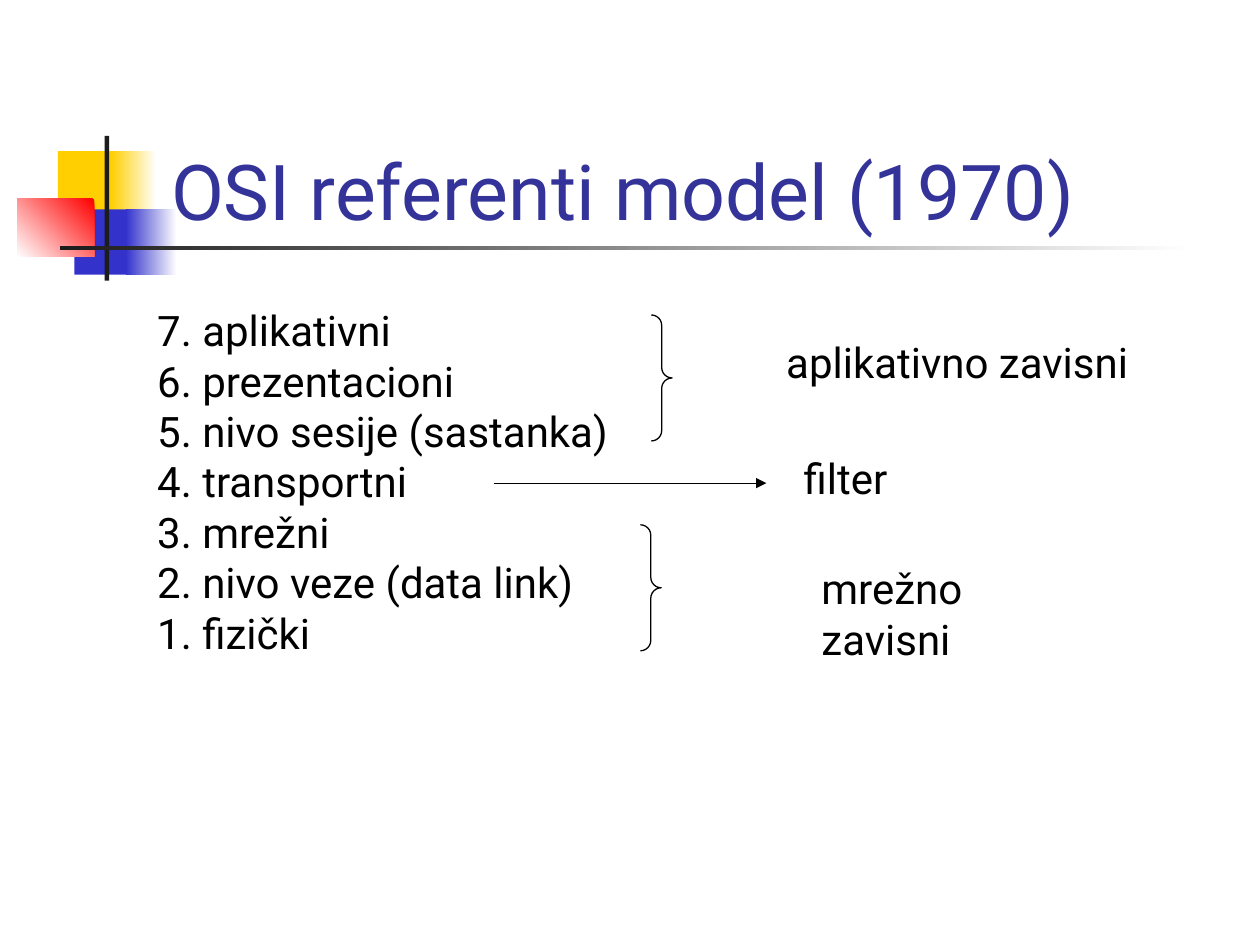
"""Build the OSI reference model slide."""
from dataclasses import dataclass

from lxml import etree
from pptx import Presentation
from pptx import util as u
from pptx.dml.color import RGBColor
from pptx.enum import shapes, text
from pptx.oxml.ns import qn


@dataclass(frozen=True)
class Theme:
    font: str = "Roboto"
    title_size: int = 44
    body_size: int = 24
    rule_width: float = 0.74
    title: str = "333399"
    ink: str = "000000"
    white: str = "FFFFFF"
    yellow: str = "FFCF01"
    blue: str = "3333CC"
    red: str = "FF0000"
    dark: str = "1C1C1C"


THEME = Theme()
TITLE = "OSI referenti model (1970)"
LAYERS = ["aplikativni", "prezentacioni", "nivo sesije (sastanka)", "transportni",
          "mrežni", "nivo veze (data link)", "fizički"]
GROUPS = [
    ("aplikativno zavisni", (15.6, 6.65, 7.75, 1.27), False),
    ("filter", (15.95, 8.99, 2.36, 1.27), False),
    ("mrežno zavisni", (16.31, 11.22, 6.02, 2.29), True),
]
BRACES = [(13.13, 6.35, 0.42, 2.54), (12.91, 10.58, 0.42, 2.54)]
FILTER_ARROW = (9.95, 9.74, 15.45, 9.74)
DECOR = [
    ((1.17, 3.05, 1.22, 1.32), [THEME.yellow], 0),
    ((2.24, 3.05, 0.91, 1.32), [THEME.white, THEME.yellow], 180),
    ((1.5, 4.22, 1.17, 1.32), [THEME.blue], 0),
    ((2.54, 4.22, 1.02, 1.32), [THEME.white, THEME.blue], 180),
    ((0.35, 4.01, 1.55, 1.17), [THEME.red, THEME.white], 225),
    ((2.11, 2.74, 0.09, 2.92), [THEME.dark], 0),
    ((1.22, 4.95, 22.86, 0.09), [THEME.white, THEME.dark], 180),
]


def cm(lengths):
    return [u.Cm(length) for length in lengths]


def color(code):
    return RGBColor.from_string(code)


def add_text(slide, lines, box, size=THEME.body_size, ink=THEME.ink,
             anchor=text.MSO_ANCHOR.TOP, wrap=True, hanging=0):
    frame = slide.shapes.add_textbox(*cm(box)).text_frame
    frame.word_wrap = wrap
    frame.vertical_anchor = anchor
    frame.text = "\n".join(lines)
    for line in frame.paragraphs:
        line.font.name, line.font.size = THEME.font, u.Pt(size)
        line.font.color.rgb = color(ink)
        if hanging:
            props = line._p.get_or_add_pPr()
            props.set("marL", str(u.Cm(hanging)))
            props.set("indent", str(-u.Cm(hanging)))


def add_decor(slide, box, colors, angle):
    block = slide.shapes.add_shape(shapes.MSO_SHAPE.RECTANGLE, *cm(box))
    block.shadow.inherit = False
    block.line.fill.background()
    if len(colors) == 1:
        block.fill.solid()
        block.fill.fore_color.rgb = color(colors[0])
        return
    block.fill.gradient()
    block.fill.gradient_angle = angle
    for stop, code, position in zip(block.fill.gradient_stops, colors, (0, 1)):
        stop.color.rgb = color(code)
        stop.position = position


def style_line(line):
    line.color.rgb = color(THEME.ink)
    line.width = u.Pt(THEME.rule_width)


def add_brace(slide, box):
    brace = slide.shapes.add_shape(shapes.MSO_SHAPE.RIGHT_BRACE, *cm(box))
    brace.shadow.inherit = False
    brace.fill.background()
    brace.adjustments[0] = 0.5
    style_line(brace.line)


def add_arrow(slide, ends):
    arrow = slide.shapes.add_connector(shapes.MSO_CONNECTOR.STRAIGHT, *cm(ends))
    style_line(arrow.line)
    etree.SubElement(arrow.line._get_or_add_ln(), qn("a:tailEnd"), type="triangle")
    etree.SubElement(arrow._element.spPr, qn("a:effectLst"))


deck = Presentation()
deck.slide_width, deck.slide_height = cm((25.4, 19.05))
slide = deck.slides.add_slide(deck.slide_layouts[6])

for box, colors, angle in DECOR:
    add_decor(slide, box, colors, angle)
add_text(slide, [TITLE], (3.2, 1.7, 21.64, 3.18), size=THEME.title_size,
         ink=THEME.title, anchor=text.MSO_ANCHOR.BOTTOM)
numbered = [f"{len(LAYERS) - i}. {layer}" for i, layer in enumerate(LAYERS)]
add_text(slide, numbered, (2.92, 6.02, 19.3, 7.37), hanging=1.27)
for box in BRACES:
    add_brace(slide, box)
for label, box, wrap in GROUPS:
    add_text(slide, [label], box, wrap=wrap)
add_arrow(slide, FILTER_ARROW)

deck.save("out.pptx")
